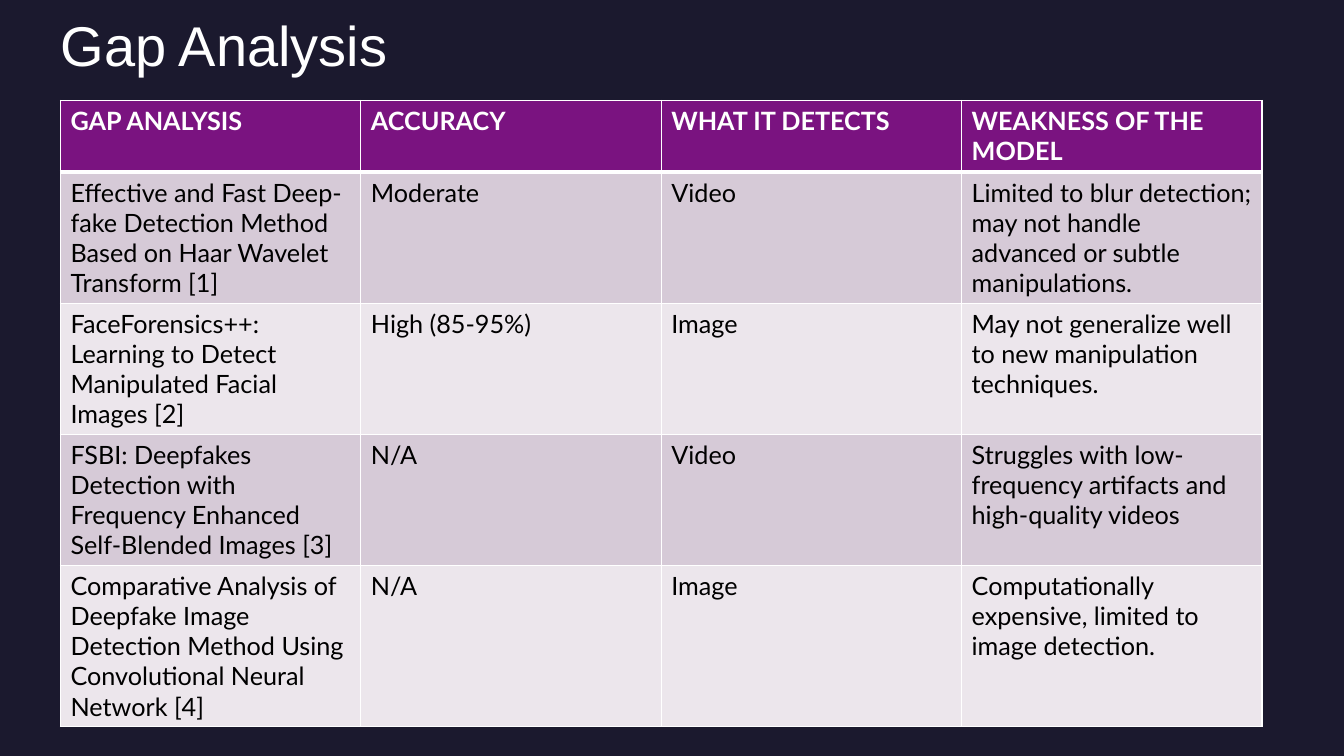
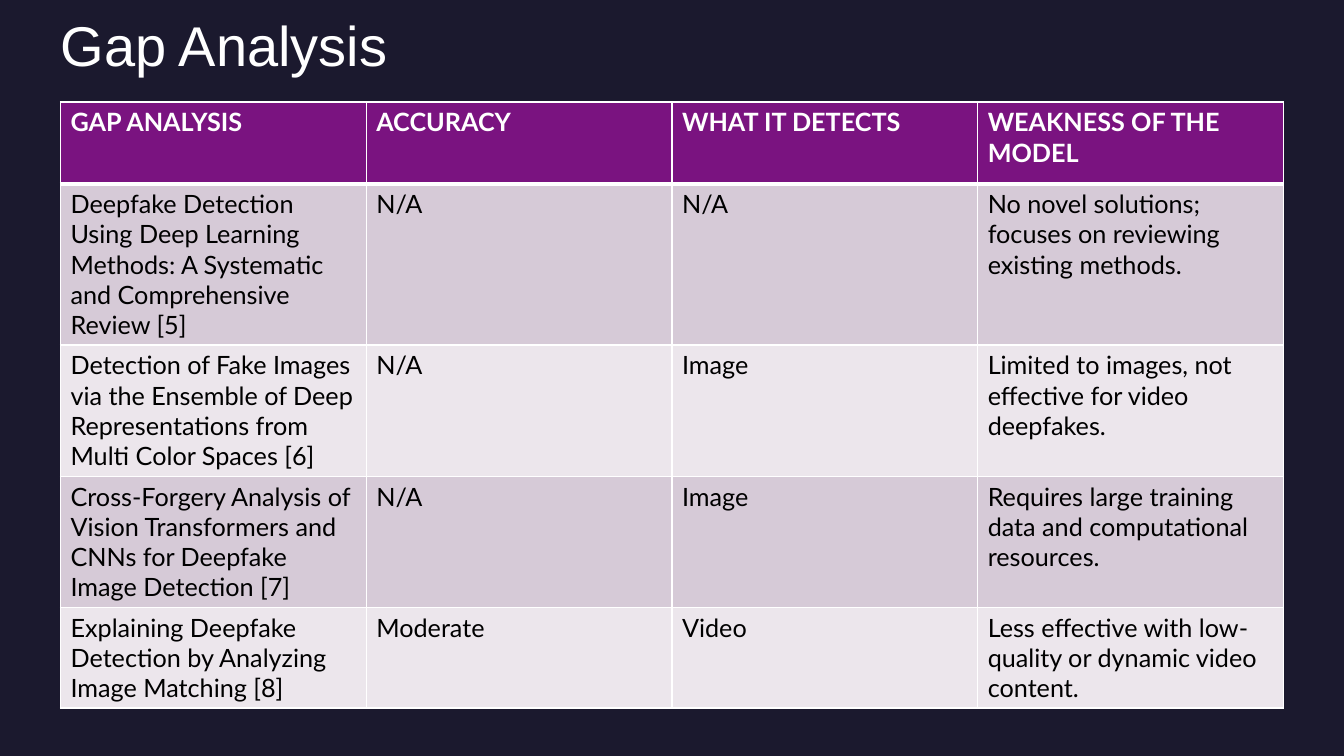
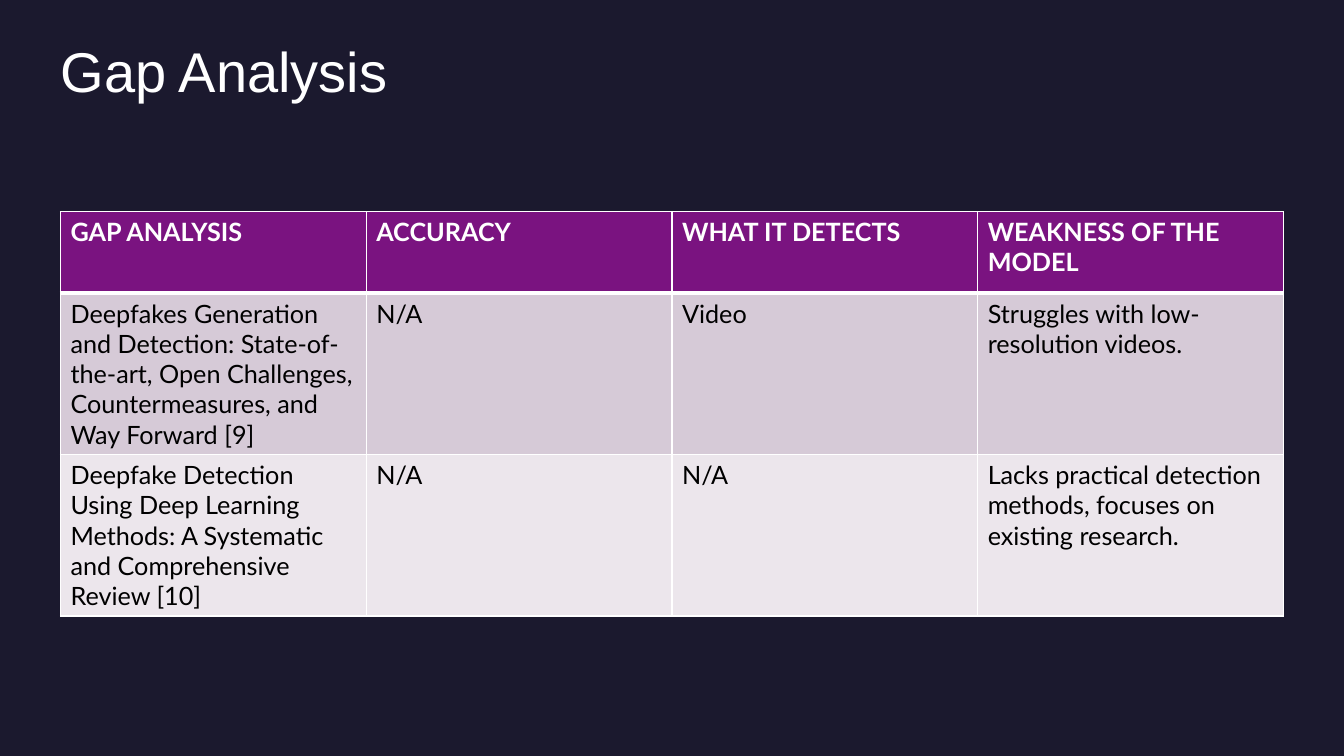
from lxml import etree
from pptx import Presentation
from pptx.dml.color import RGBColor
from pptx.enum.text import MSO_ANCHOR, MSO_AUTO_SIZE, PP_ALIGN
from pptx.oxml.ns import qn
from pptx.util import Inches, Pt

NAVY = RGBColor(0x1B, 0x19, 0x2E)
PURPLE = RGBColor(0x7A, 0x13, 0x80)
MAUVE = RGBColor(0xD6, 0xCA, 0xD7)
PALE_MAUVE = RGBColor(0xEC, 0xE6, 0xEC)
WHITE = RGBColor(0xFF, 0xFF, 0xFF)
BLACK = RGBColor(0x00, 0x00, 0x00)

LEFT = PP_ALIGN.LEFT
MIDDLE = MSO_ANCHOR.MIDDLE
NO_AUTOFIT = MSO_AUTO_SIZE.NONE

TITLE_ONLY_LAYOUT = 5
TITLE_FONT, TITLE_SIZE = "Arial", Pt(40)
TABLE_FONT, TABLE_SIZE = "Lato", Pt(18)
THIN, THICK = Pt(1), Pt(3)
LINE_HEIGHT, CELL_PADDING = 0.3, 0.1

# Horizontal and vertical places are percentages of the slide's size.
MARGIN = 4.5
CONTENT_WIDTH = 91
TITLE_HEIGHT = 8.8

HEADERS = ("GAP ANALYSIS", "ACCURACY", "WHAT IT DETECTS", "WEAKNESS OF THE MODEL")

# Each study: lines of text in its tallest cell, then the four cells.
EARLY_STUDIES = [
    (4, "Effective and Fast Deep-fake Detection Method Based on Haar Wavelet Transform [1]",
     "Moderate", "Video",
     "Limited to blur detection; may not handle advanced or subtle manipulations."),
    (4, "FaceForensics++: Learning to Detect Manipulated Facial Images [2]",
     "High (85-95%)", "Image",
     "May not generalize well to new manipulation techniques."),
    (4, "FSBI: Deepfakes Detection with Frequency Enhanced Self-Blended Images [3]",
     "N/A", "Video",
     "Struggles with low-frequency artifacts and high-quality videos"),
    (5, "Comparative Analysis of Deepfake Image Detection Method Using "
        "Convolutional Neural Network [4]",
     "N/A", "Image",
     "Computationally expensive, limited to image detection."),
]
MIDDLE_STUDIES = [
    (5, "Deepfake Detection Using Deep Learning Methods: A Systematic and "
        "Comprehensive Review [5]",
     "N/A", "N/A",
     "No novel solutions; focuses on reviewing existing methods."),
    (4, "Detection of Fake Images via the Ensemble of Deep Representations from "
        "Multi Color Spaces [6]",
     "N/A", "Image",
     "Limited to images, not effective for video deepfakes."),
    (4, "Cross-Forgery Analysis of Vision Transformers and CNNs for Deepfake "
        "Image Detection [7]",
     "N/A", "Image",
     "Requires large training data and computational resources."),
    (3, "Explaining Deepfake Detection by Analyzing Image Matching [8]",
     "Moderate", "Video",
     "Less effective with low-quality or dynamic video content."),
]
LATE_STUDIES = [
    (5, "Deepfakes Generation and Detection: State-of-the-art, Open Challenges, "
        "Countermeasures, and Way Forward [9]",
     "N/A", "Video",
     "Struggles with low-resolution videos."),
    (5, "Deepfake Detection Using Deep Learning Methods: A Systematic and "
        "Comprehensive Review [10]",
     "N/A", "N/A",
     "Lacks practical detection methods, focuses on existing research."),
]


class Deck:
    """Holds the shared style and the slide being built."""

    def __init__(self):
        self.presentation = Presentation()
        self.presentation.slide_width = Inches(13.33)
        self.presentation.slide_height = Inches(7.5)
        background = self.presentation.slide_master.background.fill
        background.solid()
        background.fore_color.rgb = NAVY
        self.slide = None

    def across(self, percent):
        return round(self.presentation.slide_width * percent / 100)

    def down(self, percent):
        return round(self.presentation.slide_height * percent / 100)

    def add_slide(self, title, title_top):
        layout = self.presentation.slide_layouts[TITLE_ONLY_LAYOUT]
        self.slide = self.presentation.slides.add_slide(layout)
        shape = self.slide.shapes.title
        shape.left, shape.top = self.across(MARGIN), self.down(title_top)
        shape.width, shape.height = self.across(CONTENT_WIDTH), self.down(TITLE_HEIGHT)
        frame = shape.text_frame
        frame.text = title
        frame.auto_size = NO_AUTOFIT
        frame.vertical_anchor = MIDDLE
        frame.margin_left = frame.margin_right = 0
        frame.margin_top = frame.margin_bottom = 0
        paragraph = frame.paragraphs[0]
        paragraph.alignment = LEFT
        paragraph.line_spacing = 0.9
        self.format_runs(paragraph, TITLE_FONT, TITLE_SIZE, WHITE)

    def add_study_table(self, studies, top, width, header_height):
        heights = [Inches(header_height)]
        heights += [Inches(study[0] * LINE_HEIGHT + CELL_PADDING) for study in studies]
        rows = [HEADERS] + [study[1:] for study in studies]
        frame = self.slide.shapes.add_table(
            len(rows), len(HEADERS), self.across(MARGIN), self.down(top),
            self.across(width), sum(heights))
        table = frame.table
        table.horz_banding = False
        for row_index, (height, texts) in enumerate(zip(heights, rows)):
            table.rows[row_index].height = height
            for column_index, text in enumerate(texts):
                self.fill_cell(table.cell(row_index, column_index), text, row_index)

    def fill_cell(self, cell, text, row_index):
        is_header = row_index == 0
        top = THICK if row_index == 1 else THIN
        bottom = THICK if is_header else THIN
        self.add_borders(cell, lnL=THIN, lnR=THIN, lnT=top, lnB=bottom)
        band = MAUVE if row_index % 2 else PALE_MAUVE
        cell.fill.solid()
        cell.fill.fore_color.rgb = PURPLE if is_header else band
        cell.text_frame.text = text
        self.format_runs(cell.text_frame.paragraphs[0], TABLE_FONT, TABLE_SIZE,
                         WHITE if is_header else BLACK, is_header)

    @staticmethod
    def add_borders(cell, **widths):
        properties = cell._tc.get_or_add_tcPr()
        for side, width in widths.items():
            line = etree.SubElement(properties, qn(f"a:{side}"), w=str(width))
            fill = etree.SubElement(line, qn("a:solidFill"))
            etree.SubElement(fill, qn("a:srgbClr"), val=str(WHITE))

    @staticmethod
    def format_runs(paragraph, name, size, color, bold=False):
        for run in paragraph.runs:
            run.font.name = name
            run.font.size = size
            run.font.bold = bold
            run.font.color.rgb = color


def main():
    deck = Deck()
    for title_top, studies, table_top, width, header_height in (
        (2, EARLY_STUDIES, 13.3, 89.4, 0.71),
        (2, MIDDLE_STUDIES, 13.5, CONTENT_WIDTH, 0.81),
        (5.5, LATE_STUDIES, 28, CONTENT_WIDTH, 0.81),
    ):
        deck.add_slide("Gap Analysis", title_top)
        deck.add_study_table(studies, table_top, width, header_height)
    deck.presentation.save("out.pptx")


if __name__ == "__main__":
    main()
